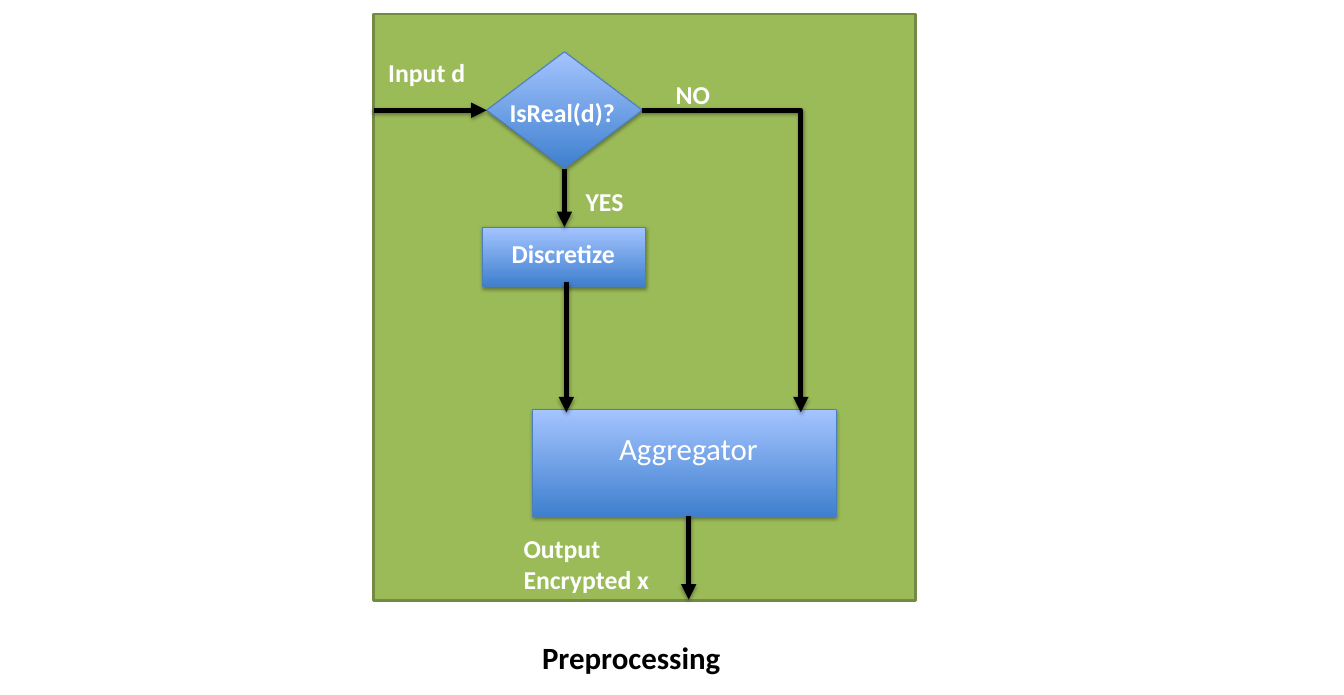
from dataclasses import dataclass

from lxml.etree import SubElement as Sub
from pptx import Presentation
from pptx.dml.color import RGBColor as RGB
from pptx.enum.shapes import MSO_CONNECTOR as Link, MSO_SHAPE as Kind
from pptx.enum.text import MSO_AUTO_SIZE as Fit
from pptx.oxml.ns import qn
from pptx.util import Inches, Pt


@dataclass(frozen=True)
class Theme:
    font: str = "Calibri"
    panel: str = "9BBB59"
    rim: str = "738A42"
    deep: str = "3F80CE"
    pale: str = "A4C4FF"
    edge: str = "4B7EBC"
    ink: str = "000000"
    white: str = "FFFFFF"
    small: int = 20
    large: int = 24
    arrow: int = 4


T = Theme()


def rgb(code):
    return RGB.from_string(code)


def shade(item, drop, alpha):
    """Cast a soft shadow straight down; drop in points, alpha in percent."""
    fx = Sub(item._element.spPr, qn("a:effectLst"))
    cast = Sub(fx, qn("a:outerShdw"), blurRad=str(Pt(3.1)), dist=str(Pt(drop)),
               dir="5400000", rotWithShape="0")
    tint = Sub(cast, qn("a:srgbClr"), val=T.ink)
    Sub(tint, qn("a:alpha"), val=str(alpha * 1000))


def add_panel(slide, *box):
    panel = slide.shapes.add_shape(Kind.RECTANGLE, *map(Inches, box))
    panel.shadow.inherit = False
    panel.fill.solid()
    panel.fill.fore_color.rgb = rgb(T.panel)
    panel.line.color.rgb = rgb(T.rim)
    panel.line.width = Pt(2)


def add_node(slide, kind, *box):
    node = slide.shapes.add_shape(kind, *map(Inches, box))
    node.fill.gradient()
    node.fill.gradient_angle = 90
    for stop, code in zip(node.fill.gradient_stops, (T.deep, T.pale)):
        stop.color.rgb = rgb(code)
    node.line.color.rgb = rgb(T.edge)
    node.line.width = Pt(0.75)
    shade(node, 1.8, 35)
    return node


def add_arrow(slide, start, end, tail=None, head=None, bent=False):
    """Draw an arrow; tail and head are (node, side) joins."""
    kind = Link.ELBOW if bent else Link.STRAIGHT
    arrow = slide.shapes.add_connector(kind, *map(Inches, start + end))
    if tail:
        arrow.begin_connect(*tail)
    if head:
        arrow.end_connect(*head)
    arrow.line.color.rgb = rgb(T.ink)
    arrow.line.width = Pt(T.arrow)
    props = arrow._element.spPr
    if bent:
        props.find(qn("a:prstGeom")).set("prst", "bentConnector2")
    Sub(props.find(qn("a:ln")), qn("a:tailEnd"), type="triangle")
    shade(arrow, 1.6, 38)


def add_label(slide, text, box, size=T.small, color=T.white, bold=True, inset=0.1):
    frame = slide.shapes.add_textbox(*map(Inches, box)).text_frame
    frame.word_wrap = True
    frame.auto_size = Fit.SHAPE_TO_FIT_TEXT
    frame.margin_left = Inches(inset)
    run = frame.paragraphs[0].add_run()
    run.text = text
    run.font.name = T.font
    run.font.size = Pt(size)
    run.font.bold = bold
    run.font.color.rgb = rgb(color)


def main():
    deck = Presentation()
    deck.slide_width, deck.slide_height = Inches(14.5), Inches(7.5)
    slide = deck.slides.add_slide(deck.slide_layouts[6])

    # Panel and steps
    add_panel(slide, 4.03, 0.15, 5.85, 6.33)
    test = add_node(slide, Kind.DIAMOND, 5.25, 0.56, 1.68, 1.26)
    merge = add_node(slide, Kind.RECTANGLE, 5.75, 4.42, 3.27, 1.15)
    split = add_node(slide, Kind.RECTANGLE, 5.21, 2.45, 1.76, 0.64)

    # Flow
    add_arrow(slide, (4.03, 1.19), (5.25, 1.19), head=(test, 1))
    add_arrow(slide, (6.93, 1.19), (8.64, 4.45), tail=(test, 3), bent=True)
    add_arrow(slide, (6.09, 1.82), (6.09, 2.45), tail=(test, 2), head=(split, 0))
    add_arrow(slide, (6.11, 3.04), (6.11, 4.45))
    add_arrow(slide, (7.43, 5.57), (7.43, 6.47))

    # Step names
    add_label(slide, "IsReal(d)?", (5.4, 1, 1.37, 0.44))
    add_label(slide, "Discretize", (5.3, 2.52, 1.57, 0.44), inset=0.22)
    add_label(slide, "Aggregator", (6.28, 4.59, 2.36, 0.5), T.large,
              bold=False, inset=0.4)

    # Flow labels
    add_label(slide, "Input d", (4.09, 0.56, 1.06, 0.44))
    add_label(slide, "NO", (6.97, 0.8, 1.06, 0.44), inset=0.32)
    add_label(slide, "YES", (6.22, 1.96, 0.64, 0.44))
    add_label(slide, "Output Encrypted x", (5.55, 5.7, 1.67, 0.77))

    # Caption
    add_label(slide, "Preprocessing", (5.75, 6.84, 4.14, 0.5), T.large, T.ink)

    deck.save("out.pptx")


if __name__ == "__main__":
    main()
